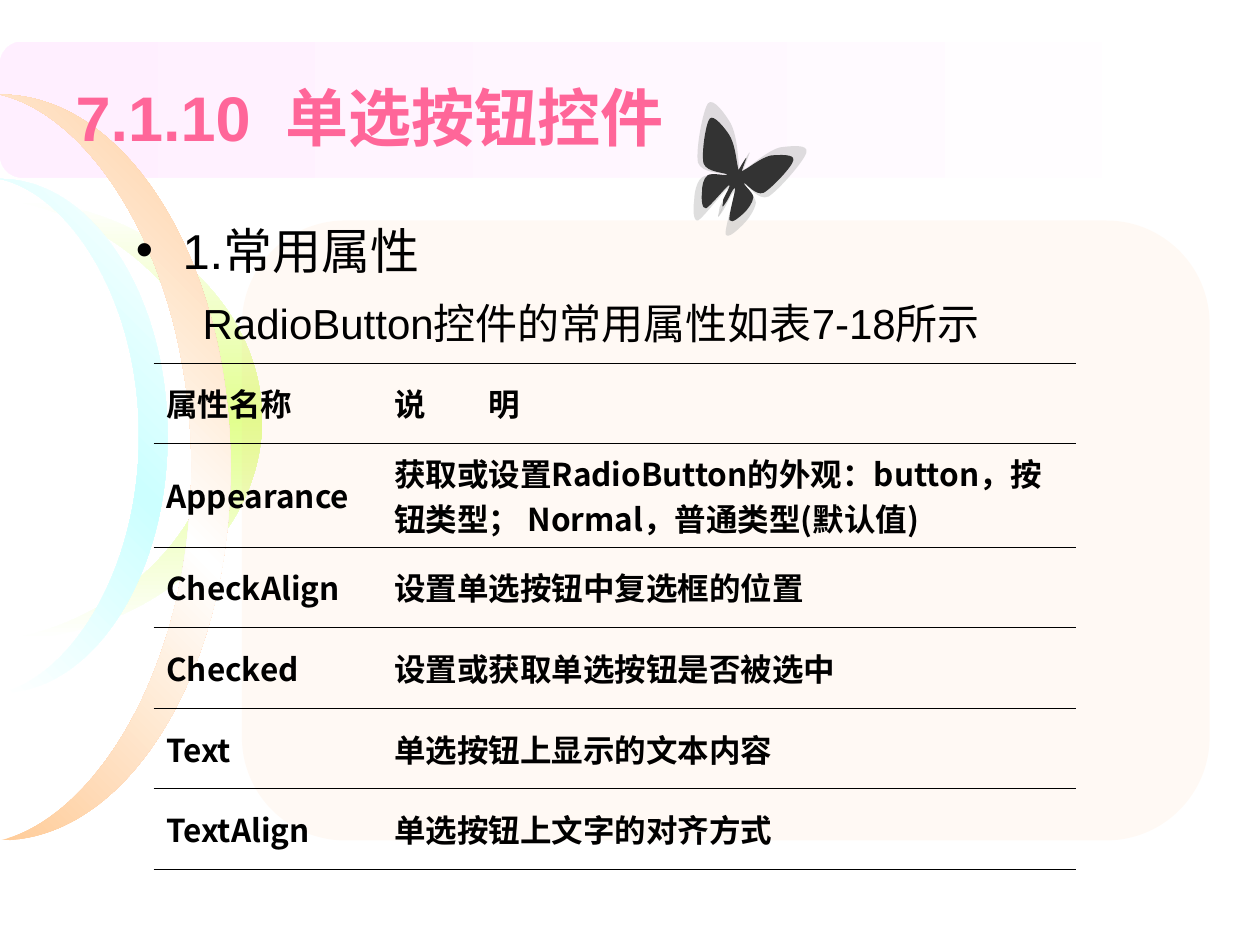
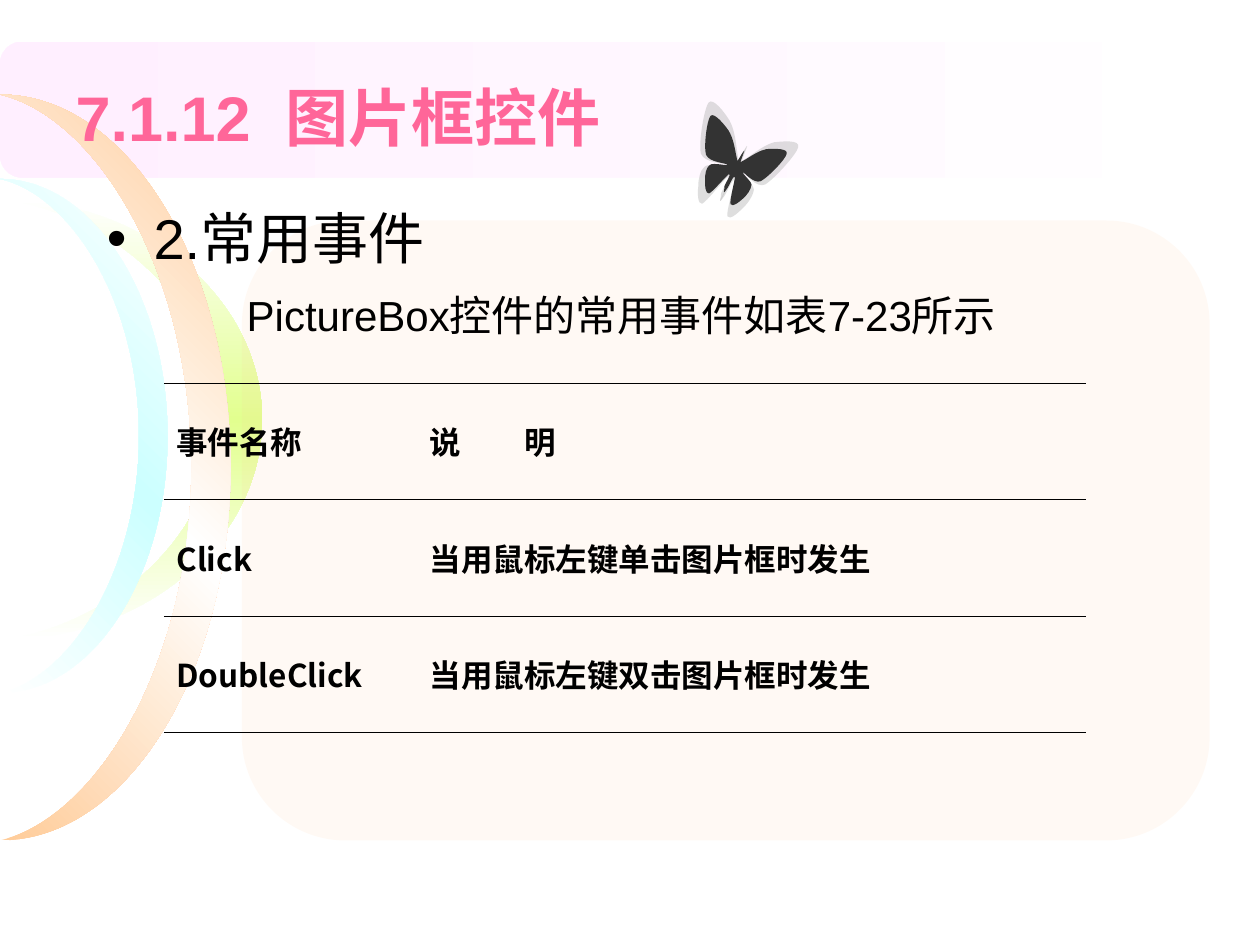
import math
from itertools import product

from lxml import etree
from pptx import Presentation
from pptx.dml.color import RGBColor
from pptx.enum import shapes, text
from pptx.oxml import ns
from pptx.util import Inches, Pt

WHITE = RGBColor(0xFF, 0xFF, 0xFF)
BLACK = RGBColor(0, 0, 0)
PINK = RGBColor(0xFF, 0x66, 0x99)
BLUSH = RGBColor(0xFF, 0xEF, 0xFF)
PEACH = RGBColor(0xFF, 0xCC, 0x99)
LIME = RGBColor(0xE2, 0xFF, 0x8F)
AQUA = RGBColor(0xCC, 0xFF, 0xFF)
GREY = RGBColor(0xC0, 0xC0, 0xC0)
DARK = RGBColor(0x33, 0x33, 0x33)

SANS, SERIF, HAN = "Arial", "Times New Roman", "Noto Sans CJK SC"
TILT = math.radians(25.9)

# Wings: a start point, then three points for each curve
LEFT = [
    (5.86, 1.26), (5.85, 1.16), (5.84, 1.06), (5.8, 0.98),
    (5.76, 0.91), (5.66, 0.77), (5.62, 0.82), (5.58, 0.87), (5.52, 1.19), (5.54, 1.29),
    (5.57, 1.38), (5.75, 1.37), (5.76, 1.39), (5.76, 1.41), (5.61, 1.37), (5.57, 1.41),
    (5.53, 1.44), (5.51, 1.53), (5.51, 1.59), (5.5, 1.65), (5.5, 1.76), (5.54, 1.75),
    (5.58, 1.73), (5.74, 1.52), (5.77, 1.5), (5.8, 1.49), (5.72, 1.62), (5.71, 1.65),
    (5.71, 1.69), (5.68, 1.76), (5.72, 1.69), (5.75, 1.62), (5.92, 1.29), (5.94, 1.23),
    (5.97, 1.17), (5.92, 1.25), (5.87, 1.34)]
RIGHT = [
    (5.96, 1.31), (6.04, 1.25), (6.12, 1.19), (6.19, 1.17),
    (6.27, 1.16), (6.42, 1.14), (6.4, 1.21), (6.39, 1.27), (6.18, 1.51), (6.1, 1.56),
    (6.02, 1.6), (5.93, 1.46), (5.92, 1.47), (5.9, 1.48), (6, 1.56), (6, 1.61),
    (5.99, 1.67), (5.94, 1.74), (5.9, 1.78), (5.86, 1.82), (5.78, 1.9), (5.76, 1.86),
    (5.75, 1.82), (5.83, 1.56), (5.83, 1.53), (5.82, 1.5), (5.76, 1.64), (5.74, 1.67),
    (5.72, 1.7), (5.68, 1.76), (5.71, 1.69), (5.75, 1.62), (5.91, 1.28), (5.94, 1.23),
    (5.97, 1.17), (5.93, 1.26), (5.9, 1.35)]
INNER = (0.85, 0.75, (5.85, 1.29))
SMALL = (0.91, 0.855, (5.85, 1.2))


def squeeze(points, wide, tall, end):
    """Scale along the tilted axes of the butterfly and move its root to end."""
    cos, sin = math.cos(TILT), math.sin(TILT)
    xx = wide * cos ** 2 + tall * sin ** 2
    yy = wide * sin ** 2 + tall * cos ** 2
    xy = (wide - tall) * cos * sin
    x0, y0 = LEFT[0]
    return [(end[0] + xx * (x - x0) + xy * (y - y0),
             end[1] + xy * (x - x0) + yy * (y - y0)) for x, y in points]


def node(parent, tag, **attrs):
    return etree.SubElement(parent, ns.qn(tag), **attrs)


class Deck:
    def __init__(self):
        self.prs = Presentation()
        self.prs.slide_width, self.prs.slide_height = Inches(10), Inches(7.5)
        self.plan = self.prs.slide_layouts[5]
        self.slide = None

    def start(self, title):
        first = self.slide is None
        self.slide = self.prs.slides.add_slide(self.plan)
        if first:
            self.scene()
        self.title(title)

    # Fills
    def solid(self, shape, color, alpha=100):
        shape.shadow.inherit = False
        shape.line.fill.background()
        shape.fill.solid()
        shape.fill.fore_color.rgb = color
        if alpha < 100:
            tone = shape.element.spPr.find(ns.qn("a:solidFill"))[0]
            node(tone, "a:alpha", val=str(alpha * 1000))

    def fade(self, shape, colors, angle):
        self.solid(shape, WHITE)
        old = shape.element.spPr.find(ns.qn("a:solidFill"))
        grad = etree.Element(ns.qn("a:gradFill"), rotWithShape="1")
        stops = node(grad, "a:gsLst")
        for i, color in enumerate(colors):
            stop = node(stops, "a:gs", pos=str(i * 100000 // (len(colors) - 1)))
            node(stop, "a:srgbClr", val=str(color))
        node(grad, "a:lin", ang=str(angle * 60000), scaled="0")
        old.getparent().replace(old, grad)
        return shape

    # Shapes
    def box(self, x, y, w, h):
        return self.slide.shapes.add_shape(
            shapes.MSO_SHAPE.FLOWCHART_ALTERNATE_PROCESS,
            Inches(x), Inches(y), Inches(w), Inches(h))

    def curve(self, home, points, close=False):
        dots = [(Inches(x), Inches(y)) for x, y in points]
        pen = home.build_freeform(*dots[0])
        pen.add_line_segments(dots[1:], close=close)
        shape = pen.convert_to_shape()
        # Each three line ends become one cubic curve
        lines = list(shape.element.spPr.iter(ns.qn("a:lnTo")))
        for i in range(0, len(lines), 3):
            bend = etree.Element(ns.qn("a:cubicBezTo"))
            lines[i].addprevious(bend)
            for line in lines[i:i + 3]:
                bend.append(line[0])
                line.getparent().remove(line)
        return shape

    def arc(self, top, wide, high, colors, angle):
        half, rim = high / 2, 0.83 * wide
        mid, end = top + half, top + high
        points = [(0, end), (rim / 2, end - 0.06 * half), (rim, mid + 0.53 * half), (rim, mid),
                  (rim, mid - 0.53 * half), (rim / 2, top + 0.06 * half), (0, top),
                  (0.55 * wide, top), (wide, mid - 0.55 * half), (wide, mid),
                  (wide, mid + 0.55 * half), (0.55 * wide, end), (0, end)]
        return self.fade(self.curve(self.slide.shapes, points, True), colors, angle)

    # Scenery, kept on the layout that all slides use
    def scene(self):
        band = self.fade(self.box(0, 0.33, 10, 1.08), [WHITE, BLUSH], 180)
        arcs = [self.arc(1.58, 2.08, 3.5, [WHITE, LIME, WHITE], 270),
                self.arc(0.75, 1.83, 5.92, [PEACH, WHITE, PEACH], 315),
                self.arc(1.42, 1.33, 4.08, [WHITE, AQUA, WHITE], 315)]
        panel = self.box(1.92, 1.75, 7.68, 4.92)
        self.solid(panel, PEACH, 10)
        tree = self.plan.placeholders[0].element.getparent()
        for i, shape in enumerate([band, *arcs, panel]):
            shape.element.nvSpPr.cNvPr.set("id", str(20 + i))
            tree.insert(2 + i, shape.element)

    def moth(self, small=False):
        home = self.slide.shapes.add_group_shape().shapes
        for inner, wing in product((False, True), (LEFT, RIGHT)):
            points = squeeze(wing, *INNER) if inner else wing
            if small:
                points = squeeze(points, *SMALL)
            self.solid(self.curve(home, points), DARK if inner else GREY, 100 if inner else 52)

    # Text
    def style(self, para, size, font, color=BLACK, bold=False):
        for run in para.runs:
            face = run.font
            face.size, face.name, face.bold = Pt(size), font, bold
            face.color.rgb = color
            latin = run._r.rPr.find(ns.qn("a:latin"))
            latin.addnext(etree.Element(ns.qn("a:ea"), typeface=HAN))

    def title(self, words):
        head = self.slide.shapes.title
        head.left, head.top = Inches(0.5), Inches(0.3)
        head.width, head.height = Inches(9), Inches(1.25)
        frame = head.text_frame
        frame.text = words
        frame.vertical_anchor = text.MSO_ANCHOR.MIDDLE
        frame.paragraphs[0].alignment = text.PP_ALIGN.LEFT
        self.style(frame.paragraphs[0], 36, SANS, PINK, True)

    def body(self, x, y, w, h, lead, note, size, indent, gap, space=1.0):
        frame = self.slide.shapes.add_textbox(
            Inches(x), Inches(y), Inches(w), Inches(h)).text_frame
        frame.word_wrap = True
        frame.text = f"{lead}\n{note}"
        first, second = frame.paragraphs
        for para, pts, above in ((first, size, size / 4), (second, 24, gap)):
            para.line_spacing = space
            para.space_before = Pt(above)
            self.style(para, pts, SANS)
        props = first._p.get_or_add_pPr()
        props.set("marL", str(Inches(0.37)))
        props.set("indent", str(-Inches(0.37)))
        node(props, "a:buFont", typeface=SANS)
        node(props, "a:buChar", char="•")
        second._p.get_or_add_pPr().set("marL", str(Inches(indent)))

    # Table with rules between rows only
    def rules(self, cell):
        props = cell._tc.get_or_add_tcPr()
        for i, side in enumerate("LRTB"):
            line = etree.Element(ns.qn(f"a:ln{side}"), w=str(Pt(0.23)))
            if side in "LR":
                node(line, "a:noFill")
            else:
                node(node(line, "a:solidFill"), "a:srgbClr", val=str(BLACK))
            props.insert(i, line)

    def table(self, x, y, cols, highs, rows):
        grid = self.slide.shapes.add_table(
            len(rows), len(cols), Inches(x), Inches(y),
            Inches(sum(cols)), Inches(sum(highs))).table
        grid.first_row = grid.horz_banding = False
        for col, wide in zip(grid.columns, cols):
            col.width = Inches(wide)
        for r, (row, high) in enumerate(zip(rows, highs)):
            grid.rows[r].height = Inches(high)
            for c, words in enumerate(row):
                cell = grid.cell(r, c)
                cell.text = words
                cell.vertical_anchor = text.MSO_ANCHOR.MIDDLE
                cell.fill.background()
                self.rules(cell)
                para = cell.text_frame.paragraphs[0]
                para.space_before = Pt(4.5)
                self.style(para, 18, HAN if any(ch.isascii() for ch in words) else SERIF,
                           bold=True)


def main():
    deck = Deck()

    # Radio button properties
    deck.start("7.1.10  单选按钮控件")
    deck.body(0.98, 1.7, 7.68, 4.95, "1.常用属性",
              "RadioButton控件的常用属性如表7-18所示", 28, 0.53, 10.5)
    deck.table(1.22, 2.88, [1.81, 5.51], [0.64, 0.82] + [0.64] * 4, [
        ("属性名称", "说　　明"),
        ("Appearance", "获取或设置RadioButton的外观：button，按钮类型； Normal，普通类型(默认值)"),
        ("CheckAlign", "设置单选按钮中复选框的位置"),
        ("Checked", "设置或获取单选按钮是否被选中"),
        ("Text", "单选按钮上显示的文本内容"),
        ("TextAlign", "单选按钮上文字的对齐方式")])
    deck.moth()

    # Picture box events
    deck.start("7.1.12  图片框控件")
    deck.body(0.75, 1.63, 8.59, 1.27, "2.常用事件",
              "PictureBox控件的常用事件如表7-23所示", 32, 1.11, 13, 0.9)
    deck.table(1.3, 3.04, [2.01, 5.31], [0.92, 0.93, 0.92], [
        ("事件名称", "说　　明"),
        ("Click", "当用鼠标左键单击图片框时发生"),
        ("DoubleClick", "当用鼠标左键双击图片框时发生")])
    deck.moth(small=True)

    deck.prs.save("out.pptx")


if __name__ == "__main__":
    main()
